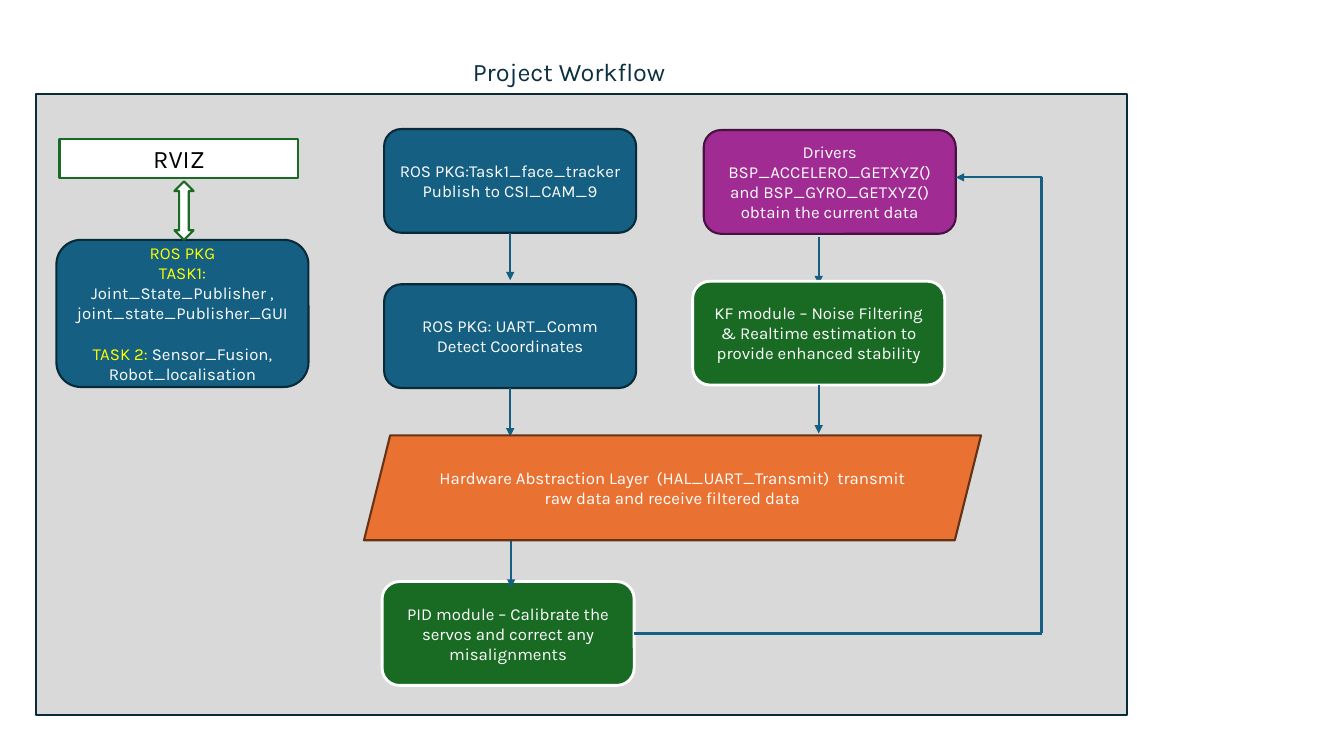
import pptx
import pptx.util
import pptx.dml.color
import pptx.enum.shapes
import pptx.enum.text
import pptx.oxml
import pptx.oxml.ns

Inches = pptx.util.Inches
Pt = pptx.util.Pt
SHAPES = pptx.enum.shapes.MSO_SHAPE
FONT = "Karla"
WHITE, YELLOW, BLACK = "FFFFFF", "FFFF00", "000000"
BLUE, NAVY, GREEN = "156082", "092A39", "196B24"
BOTTOM, RIGHT = 2, 3
LINE_GAP = 14.6  # one text line, in points

# Box styles: preset, fill, line colour, line width
STYLES = {
    "frame": (SHAPES.RECTANGLE, "D9D9D9", NAVY, 1.5),
    "package": (SHAPES.ROUNDED_RECTANGLE, BLUE, NAVY, 1.5),
    "module": (SHAPES.ROUNDED_RECTANGLE, GREEN, WHITE, 2),
    "driver": (SHAPES.ROUNDED_RECTANGLE, "A02B93", "461340", 1.5),
    "viewer": (SHAPES.RECTANGLE, WHITE, GREEN, 1.5),
    "layer": (SHAPES.PARALLELOGRAM, "E97132", "663216", 1.5),
    "exchange": (SHAPES.UP_DOWN_ARROW, WHITE, GREEN, 1.5),
}

# Each paragraph is a list of (text, colour) runs
TASKS = [
    [("ROS PKG", YELLOW)],
    [("TASK1: ", YELLOW), ("Joint_State_Publisher , joint_state_Publisher_GUI", WHITE)],
    [("TASK 2: ", YELLOW), ("Sensor_Fusion,", WHITE)],
    [("Robot_localisation", WHITE)],
]

# Boxes: name, style, (left, top, width, height), paragraphs, text format
STEP = (2.5, 1.03)
CONTROL_BOXES = [
    ("frame", "frame", (0.36, 0.93, 10.82, 6.16), [], {}),
    ("tracker", "package", (3.81, 1.28, *STEP),
     ["ROS PKG:Task1_face_tracker", "Publish to CSI_CAM_9"], {}),
    ("uart", "package", (3.81, 2.82, *STEP),
     ["ROS PKG: UART_Comm", "Detect Coordinates"], {}),
    ("pid", "module", (3.79, 5.77, *STEP),
     ["PID module – Calibrate the servos and correct any misalignments"], {}),
    ("drivers", "driver", (6.98, 1.29, *STEP),
     ["Drivers BSP_ACCELERO_GETXYZ() and BSP_GYRO_GETXYZ() obtain the current data"], {}),
]
FILTER_BOXES = [
    ("kf", "module", (6.87, 2.79, *STEP),
     ["KF module – Noise Filtering & Realtime estimation to provide enhanced stability"], {}),
    ("tasks", "package", (0.56, 2.38, 2.5, 1.46), TASKS, {"gaps": {2: LINE_GAP}}),
    ("rviz", "viewer", (0.59, 1.38, 2.37, 0.39), ["RVIZ"], {"size": 18, "color": BLACK}),
    ("hal", "layer", (3.61, 4.32, 6.12, 1.04),
     ["Hardware Abstraction Layer  (HAL_UART_Transmit)  transmit raw data "
      "and receive filtered data"], {}),
    ("exchange", "exchange", (1.73, 1.8, 0.19, 0.58), [], {}),
]

# Connectors: start, end, arrowhead, (joined box, side) at the start
LOOP_X, LOOP_TOP, LOOP_BOTTOM = 10.33, 1.76, 6.285
CONTROL_LINES = [
    ((5.06, 2.31), (5.06, 2.78), True, ("tracker", BOTTOM)),
    ((5.06, 3.85), (5.06, 4.33), True, ("uart", BOTTOM)),
    ((8.12, 2.35), (8.12, 2.82), True, None),
    ((5.07, 5.36), (5.07, 5.83), True, None),
    ((6.29, LOOP_BOTTOM), (LOOP_X, LOOP_BOTTOM), False, ("pid", RIGHT)),
    ((LOOP_X, LOOP_BOTTOM), (LOOP_X, LOOP_TOP), False, None),
    ((LOOP_X, LOOP_TOP), (9.48, LOOP_TOP), True, None),
]
FILTER_LINES = [((8.12, 3.82), (8.12, 4.3), True, ("kf", BOTTOM))]


def rgb(color):
    return pptx.dml.color.RGBColor.from_string(color)


def write_text(shape, paragraphs, size=12, color=WHITE, gaps=None,
               anchor=pptx.enum.text.MSO_ANCHOR.MIDDLE):
    frame = shape.text_frame
    frame.word_wrap = True
    frame.vertical_anchor = anchor
    for index, content in enumerate(paragraphs):
        paragraph = frame.add_paragraph() if index else frame.paragraphs[0]
        paragraph.alignment = pptx.enum.text.PP_ALIGN.CENTER
        if gaps and index in gaps:
            paragraph.space_before = Pt(gaps[index])
        runs = [(content, color)] if isinstance(content, str) else content
        for text, run_color in runs:
            run = paragraph.add_run()
            run.text = text
            run.font.name = FONT
            run.font.size = Pt(size)
            run.font.color.rgb = rgb(run_color)


def add_box(slide, style, place, paragraphs, text_format):
    preset, fill, line, width = STYLES[style]
    shape = slide.shapes.add_shape(preset, *map(Inches, place))
    shape.shadow.inherit = False
    shape.fill.solid()
    shape.fill.fore_color.rgb = rgb(fill)
    shape.line.color.rgb = rgb(line)
    shape.line.width = Pt(width)
    write_text(shape, paragraphs, **text_format)
    return shape


def add_line(slide, start, end, arrowhead, joint, boxes):
    connector = slide.shapes.add_connector(
        pptx.enum.shapes.MSO_CONNECTOR.STRAIGHT, *map(Inches, start + end))
    if joint:
        name, side = joint
        connector.begin_connect(boxes[name], side)
        connector.end_x, connector.end_y = map(Inches, end)
    connector.line.color.rgb = rgb(BLUE)
    connector.line.width = Pt(1.5)
    if arrowhead:
        tail = pptx.oxml.parse_xml(
            f'<a:tailEnd {pptx.oxml.ns.nsdecls("a")} type="triangle"/>')
        connector.line._get_or_add_ln().append(tail)
    connector._element.spPr.append(
        pptx.oxml.parse_xml(f'<a:effectLst {pptx.oxml.ns.nsdecls("a")}/>'))


def main():
    presentation = pptx.Presentation()
    presentation.slide_width = Inches(13.33)
    presentation.slide_height = Inches(7.5)
    slide = presentation.slides.add_slide(presentation.slide_layouts[6])

    # Workflow, back to front: the filter boxes cover the ends of the control lines
    boxes = {}
    for layer_boxes, layer_lines in ((CONTROL_BOXES, CONTROL_LINES),
                                     (FILTER_BOXES, FILTER_LINES)):
        for name, *details in layer_boxes:
            boxes[name] = add_box(slide, *details)
        for line in layer_lines:
            add_line(slide, *line, boxes)

    # Title
    title = slide.shapes.add_textbox(*map(Inches, (3.35, 0.51, 4.59, 0.4)))
    write_text(title, ["Project Workflow"], size=18, color="0B3041",
               anchor=pptx.enum.text.MSO_ANCHOR.TOP)

    presentation.save("out.pptx")


if __name__ == "__main__":
    main()
